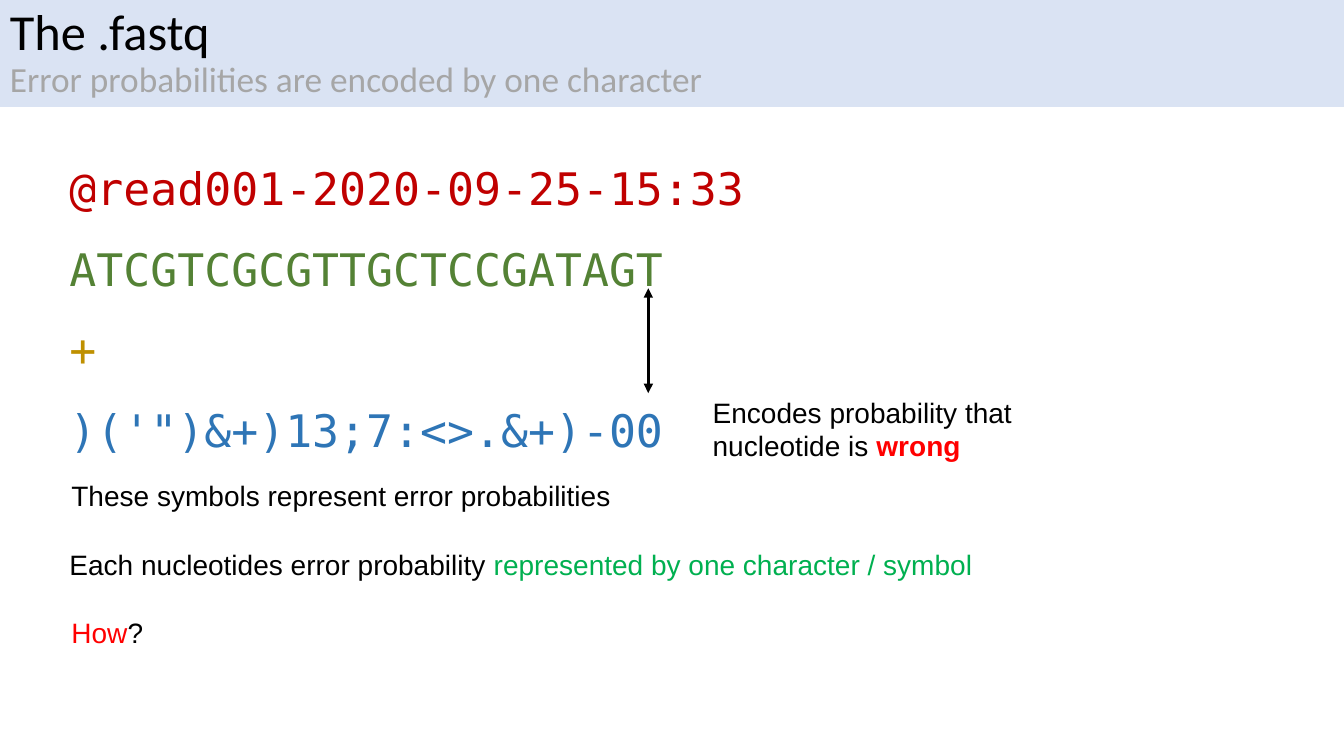
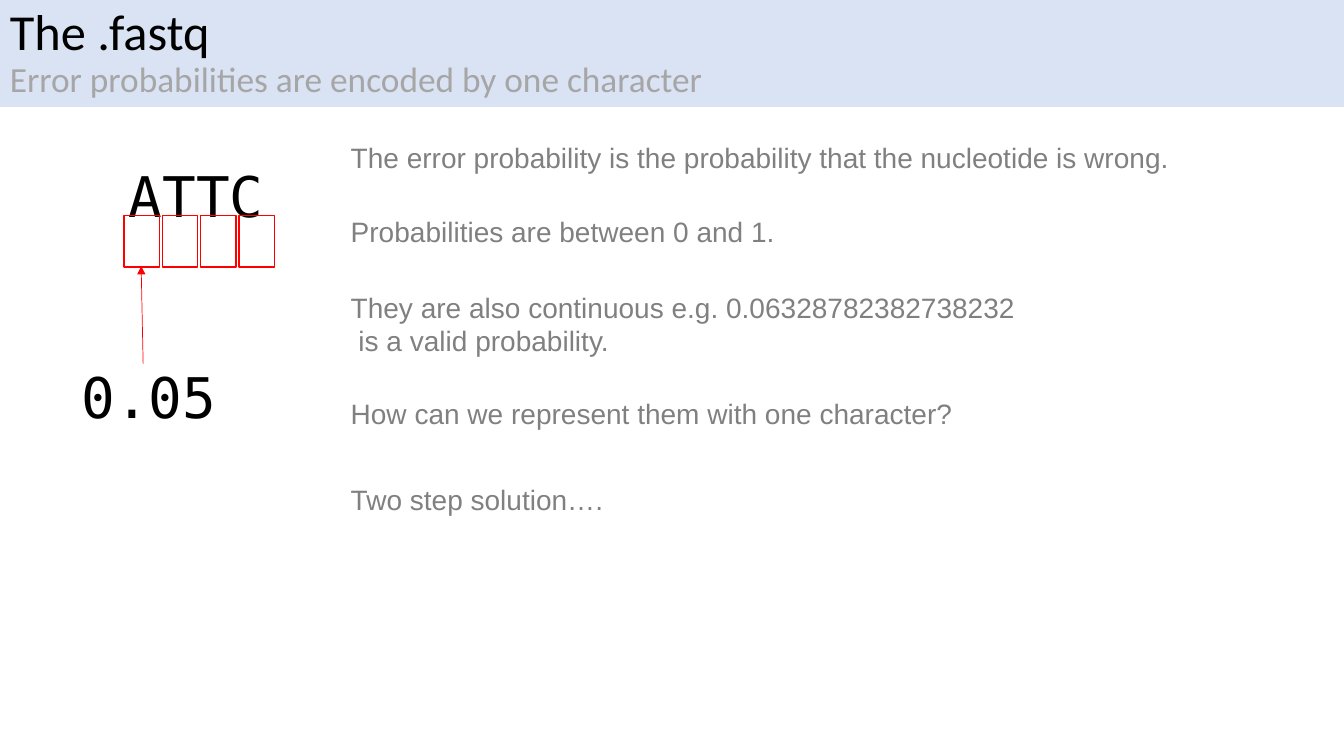
from lxml import etree
from pptx import Presentation
from pptx import util as u
from pptx.dml.color import RGBColor
from pptx.enum import shapes, text
from pptx.oxml.ns import qn

COLORS = {
    "band": "DAE3F3", "black": "000000", "subtitle": "A6A6A6",
    "header": "C00000", "bases": "548235", "plus": "BF9000",
    "quality": "2E75B6", "red": "FF0000", "green": "00B050",
    "gray": "808080",
}
TITLE_FONT, BODY_FONT, CODE_FONT = "Calibri", "Arial", "DejaVu Sans Mono"


def color(name):
    return RGBColor.from_string(COLORS[name])


class Deck:
    def __init__(self):
        self.prs = Presentation()
        self.prs.slide_width = u.Inches(13.33)
        self.prs.slide_height = u.Inches(7.5)
        self.slide = None

    def style(self, run, font, size, ink, bold=False):
        run.font.name = font
        run.font.size = u.Pt(size)
        run.font.color.rgb = color(ink)
        run.font.bold = bold

    def rect(self, left, top, width, height, fill=None, line=None):
        box = self.slide.shapes.add_shape(
            shapes.MSO_SHAPE.RECTANGLE, u.Inches(left), u.Inches(top),
            u.Inches(width), u.Inches(height))
        box.shadow.inherit = False
        if fill:
            box.fill.solid()
            box.fill.fore_color.rgb = color(fill)
        else:
            box.fill.background()
        if line:
            box.line.color.rgb = color(line)
            box.line.width = u.Pt(1)
        else:
            box.line.fill.background()
        return box

    def new_slide(self, title, subtitle):
        self.slide = self.prs.slides.add_slide(self.prs.slide_layouts[6])
        frame = self.rect(0, 0, 13.33, 1.06, fill="band").text_frame
        frame.vertical_anchor = text.MSO_ANCHOR.MIDDLE
        heading = frame.paragraphs[0]
        heading.text = f"{title}\v{subtitle}"
        heading.alignment = text.PP_ALIGN.LEFT
        heading.line_spacing = 0.9
        self.style(heading.runs[0], TITLE_FONT, 36, "black")
        self.style(heading.runs[1], TITLE_FONT, 25.2, "subtitle")

    def add_text(self, left, top, width, height, *paragraphs,
                 font=BODY_FONT, size=20, spacing=None):
        frame = self.slide.shapes.add_textbox(
            u.Inches(left), u.Inches(top),
            u.Inches(width), u.Inches(height)).text_frame
        frame.word_wrap = True
        for i, pieces in enumerate(paragraphs):
            paragraph = frame.add_paragraph() if i else frame.paragraphs[0]
            paragraph.line_spacing = spacing
            for wording, ink, *bold in pieces:
                for row, part in enumerate(wording.split("\v")):
                    if row:
                        paragraph.add_line_break()
                    run = paragraph.add_run()
                    run.text = part
                    self.style(run, font, size, ink, bool(bold))

    def arrow(self, start, end, ink, weight, heads):
        line = self.slide.shapes.add_connector(
            shapes.MSO_CONNECTOR.STRAIGHT,
            *(u.Inches(value) for value in (*start, *end)))
        line.line.color.rgb = color(ink)
        line.line.width = u.Pt(weight)
        properties = line._element.spPr
        outline = properties.find(qn("a:ln"))
        for head in heads:
            etree.SubElement(outline, qn(f"a:{head}"), type="triangle")
        etree.SubElement(properties, qn("a:effectLst"))


def build_read_slide(deck):
    deck.add_text(
        0.59, 1.28, 7.82, 4.04,
        [("@read001-2020-09-25-15:33", "header")],
        [("ATCGTCGCGTTGCTCCGATAGT", "bases")],
        [("+", "plus")],
        [(")('\")&+)13;7:<>.&+)-00", "quality")],
        font=CODE_FONT, size=32, spacing=1.5)
    deck.arrow((6.43, 2.86), (6.43, 3.9), "black", 2.25,
               ("headEnd", "tailEnd"))
    deck.add_text(6.97, 3.87, 3.9, 0.77,
                  [("Encodes probability that nucleotide is ", "black"),
                   ("wrong", "red", "bold")])
    deck.add_text(0.61, 4.7, 5.7, 0.44,
                  [("These symbols represent error probabilities", "black")])
    deck.add_text(0.59, 5.38, 10.05, 0.44,
                  [("Each nucleotides error probability ", "black"),
                   ("represented by one character / symbol", "green")])
    deck.add_text(0.61, 6.06, 8.51, 0.44, [("How", "red"), ("?", "black")])


def build_probability_slide(deck):
    deck.add_text(1.18, 1.22, 1.79, 0.99, [("ATTC", "black")],
                  font=CODE_FONT, size=40, spacing=1.5)
    for base in range(4):
        deck.rect(1.23 + 0.38 * base, 2.14, 0.35, 0.51, line="red")
    deck.add_text(0.71, 3.55, 2.15, 0.77, [("0.05", "black")],
                  font=CODE_FONT, size=40)
    deck.arrow((1.42, 3.61), (1.4, 2.64), "red", 0.5, ("tailEnd",))
    statements = [
        (1.34, 8.81, 0.44, "The error probability is the probability that "
                           "the nucleotide is wrong."),
        (2.08, 4.59, 0.44, "Probabilities are between 0 and 1."),
        (2.83, 6.82, 0.77, "They are also continuous e.g. "
                           "0.06328782382738232\v is a valid probability."),
        (3.88, 6.23, 0.44, "How can we represent them with one character?"),
        (4.74, 6.23, 0.44, "Two step solution…."),
    ]
    for top, width, height, statement in statements:
        deck.add_text(3.38, top, width, height, [(statement, "gray")])


def main():
    deck = Deck()
    for build in (build_read_slide, build_probability_slide):
        deck.new_slide("The .fastq",
                       "Error probabilities are encoded by one character")
        build(deck)
    deck.prs.save("out.pptx")


if __name__ == "__main__":
    main()
